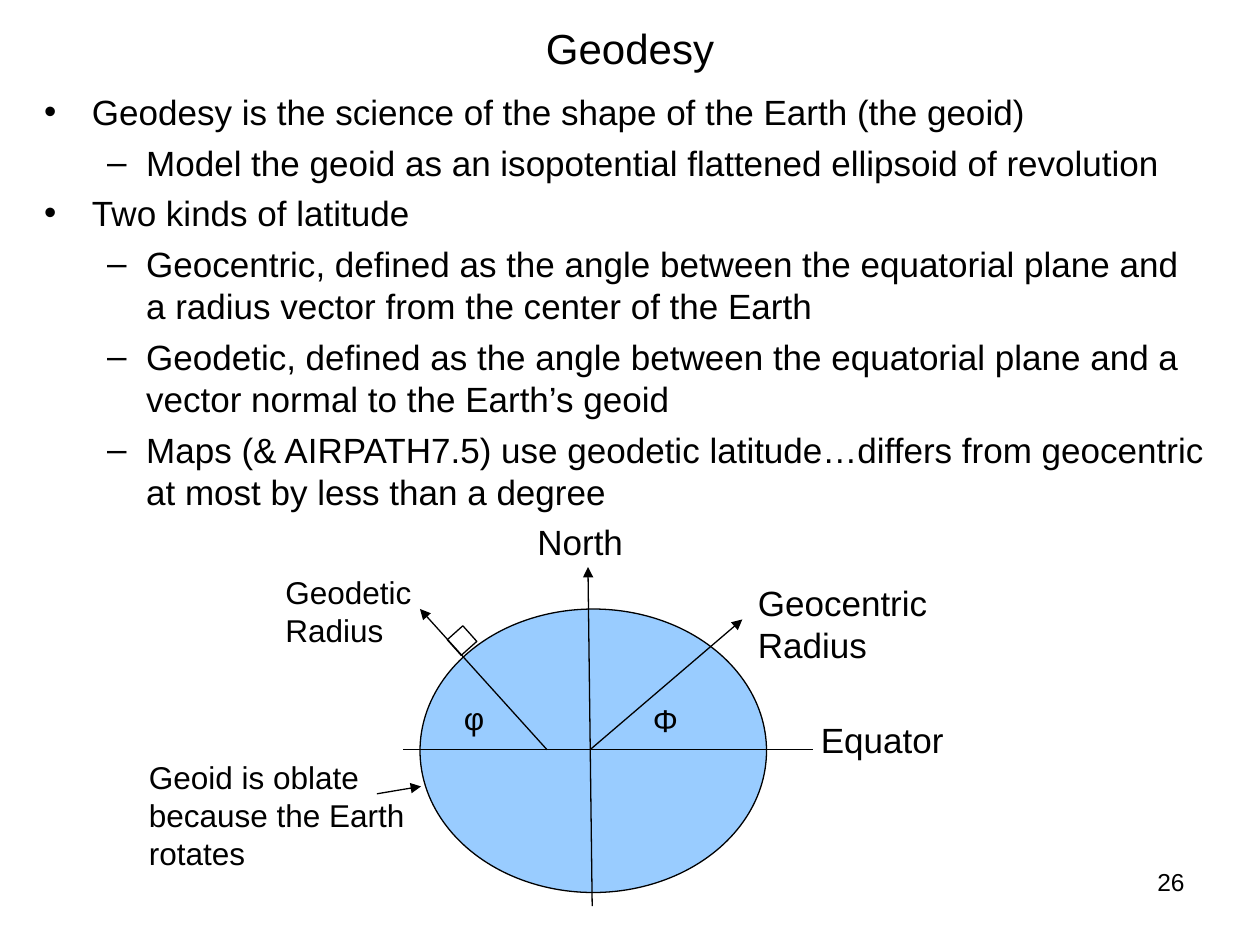
import pptx
import pptx.util
import pptx.dml.color
import pptx.enum.shapes
import pptx.enum.text
import pptx.oxml.ns
from lxml import etree

Pt, Inches = pptx.util.Pt, pptx.util.Inches
MSO = pptx.enum.shapes.MSO_SHAPE
Align = pptx.enum.text.PP_ALIGN
Anchor = pptx.enum.text.MSO_ANCHOR
Fit = pptx.enum.text.MSO_AUTO_SIZE
qn = pptx.oxml.ns.qn

# Content
TITLE = "Geodesy"
POINTS = [
    (0, "Geodesy is the science of the shape of the Earth (the geoid)"),
    (1, "Model the geoid as an isopotential flattened ellipsoid of revolution"),
    (0, "Two kinds of latitude"),
    (1, "Geocentric, defined as the angle between the equatorial plane and "
        "a radius vector from the center of the Earth"),
    (1, "Geodetic, defined as the angle between the equatorial plane and a "
        "vector normal to the Earth’s geoid"),
    (1, "Maps (& AIRPATH7.5) use geodetic latitude…differs from "
        "geocentric at most by less than a degree"),
]

# Places: a grid of 120 columns by 90 rows
COLS, ROWS = 120, 90
PLANE = 71.4  # row of the equator
HEAD, BODY = (6, 0, 108, 9), (3, 8, 113, 82)
SOLIDS = [  # preset, place, turn, fill
    (MSO.OVAL, (40, 58, 33, 27), 0, "earth"),
    (MSO.RECTANGLE, (43, 60, 2, 2), 228.2, "paper"),
]
LINES = [  # from, to, arrow
    ((56.4, 86.3), (56, 54), True),
    ((38.4, PLANE), (77.4, PLANE), False),
    ((56.2, PLANE), (70.7, 59), True),
    ((52.1, PLANE), (40, 58), True),
    ((35.9, 75.6), (40.1, 74.9), True),
]
LABELS = [  # text, place, size, align
    ("Equator", (77, 67.8, 21, 5.3), "text", Align.LEFT),
    ("North", (50, 49, 13, 5.3), "text", Align.LEFT),
    ("Geocentric Radius", (71, 54.8, 23, 9.2), "text", Align.LEFT),
    ("Geodetic Radius", (26, 54, 16, 8.4), "note", Align.LEFT),
    ("Φ", (61, 66.2, 5, 4.8), "note", Align.LEFT),
    ("φ", (43, 66, 6, 4.8), "note", Align.LEFT),
    ("Geoid is oblate because the Earth rotates", (13, 71.6, 31, 12), "note", Align.LEFT),
    ("26", (86, 82, 28, 6.2), "page", Align.RIGHT),
]
INDENT = [(0.38, -0.38), (0.81, -0.31)]  # inches, by level

THEME = {
    "font": "Arial", "line": 0.75, "gap": 5,
    "ink": "000000", "paper": "FFFFFF", "earth": "99CCFF",
    "title": 24, "text": 20, "note": 18, "page": 14,
}

deck = pptx.Presentation()
deck.slide_width, deck.slide_height = Inches(10), Inches(7.5)
slide = deck.slides.add_slide(deck.slide_layouts[1])


def color(name):
    return pptx.dml.color.RGBColor.from_string(THEME[name])


def apply(item, form):
    for key, value in form.items():
        setattr(item, key, value)


def spot(col, row):
    return round(deck.slide_width * col / COLS), round(deck.slide_height * row / ROWS)


def area(box):
    return spot(*box[:2]) + spot(*box[2:])


def place(shape, box):
    apply(shape, dict(zip(("left", "top", "width", "height"), area(box))))


def style(para, size):
    apply(para.font, {"name": THEME["font"], "size": Pt(THEME[size]), "bold": False})
    para.font.color.rgb = color("ink")


def stroke(shape):
    shape.line.width = Pt(THEME["line"])
    shape.line.color.rgb = color("ink")


# Title
head = slide.shapes.title
place(head, HEAD)
head.text_frame.text = TITLE
apply(head.text_frame, {"vertical_anchor": Anchor.MIDDLE, "auto_size": Fit.NONE})
head.text_frame.paragraphs[0].alignment = Align.CENTER
style(head.text_frame.paragraphs[0], "title")

# Bulleted list
body = slide.placeholders[1]
place(body, BODY)
frame = body.text_frame
apply(frame, {"vertical_anchor": Anchor.TOP, "auto_size": Fit.NONE})
frame.text = "\n".join(text for level, text in POINTS)
for num, (para, (level, text)) in enumerate(zip(frame.paragraphs, POINTS)):
    apply(para, {"level": level, "space_before": Pt(THEME["gap"] if num else 0)})
    props = para._p.get_or_add_pPr()
    for key, value in zip(("marL", "indent"), INDENT[level]):
        props.set(key, str(Inches(value)))
    style(para, "text")

# Earth and right-angle mark
for preset, box, turn, fill in SOLIDS:
    shape = slide.shapes.add_shape(preset, *area(box))
    shape.rotation = turn
    shape.shadow.inherit = False
    shape.fill.solid()
    shape.fill.fore_color.rgb = color(fill)
    stroke(shape)

# Axes, radii and pointer
for start, end, arrow in LINES:
    line = slide.shapes.add_connector(
        pptx.enum.shapes.MSO_CONNECTOR.STRAIGHT, *spot(*start), *spot(*end))
    stroke(line)
    if arrow:
        etree.SubElement(line.line._get_or_add_ln(), qn("a:tailEnd"), type="triangle")
    etree.SubElement(line._element.spPr, qn("a:effectLst"))

# Labels and page number
for text, box, size, align in LABELS:
    frame = slide.shapes.add_textbox(*area(box)).text_frame
    frame.word_wrap = True
    frame.text = text
    frame.paragraphs[0].alignment = align
    style(frame.paragraphs[0], size)

deck.save("out.pptx")
